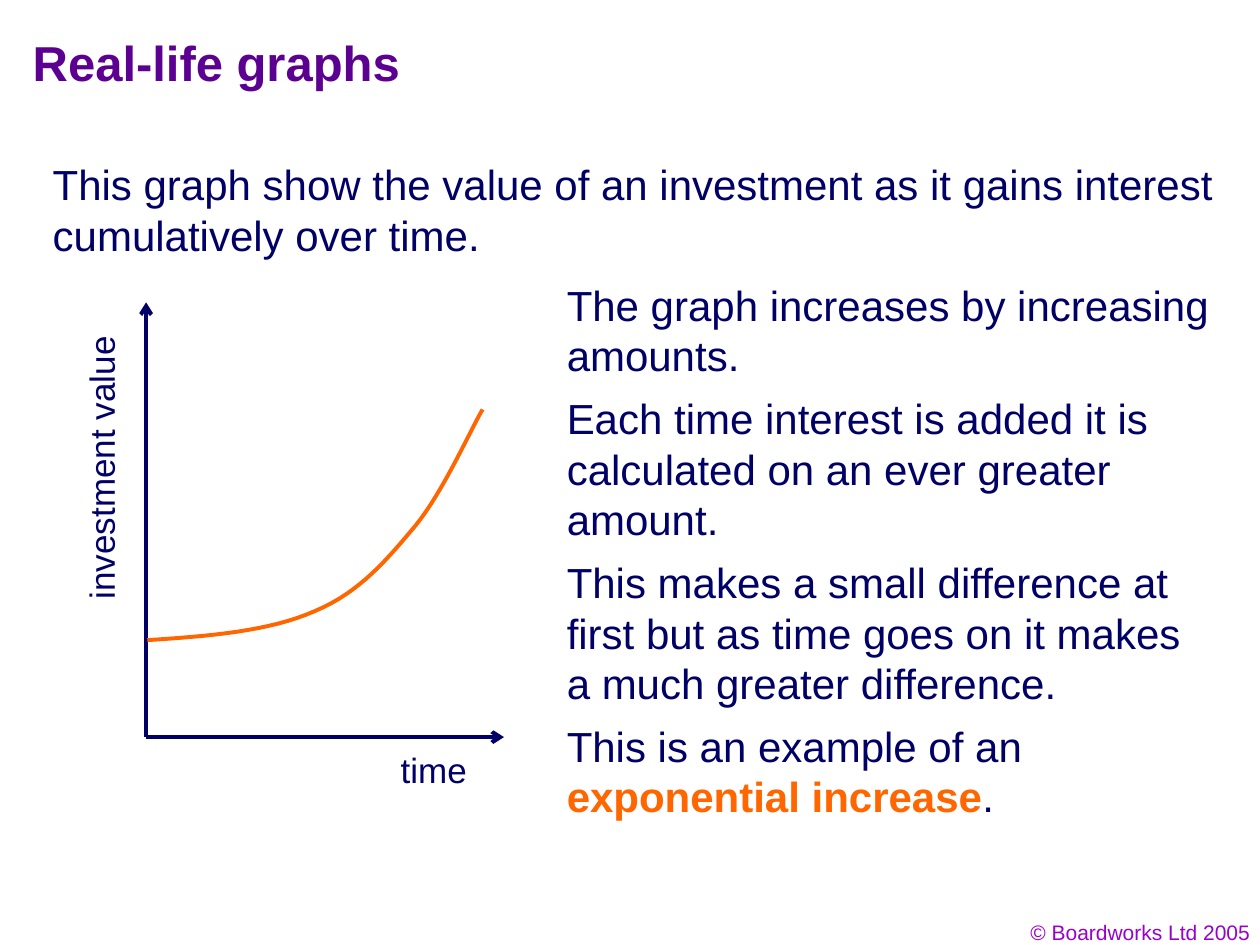
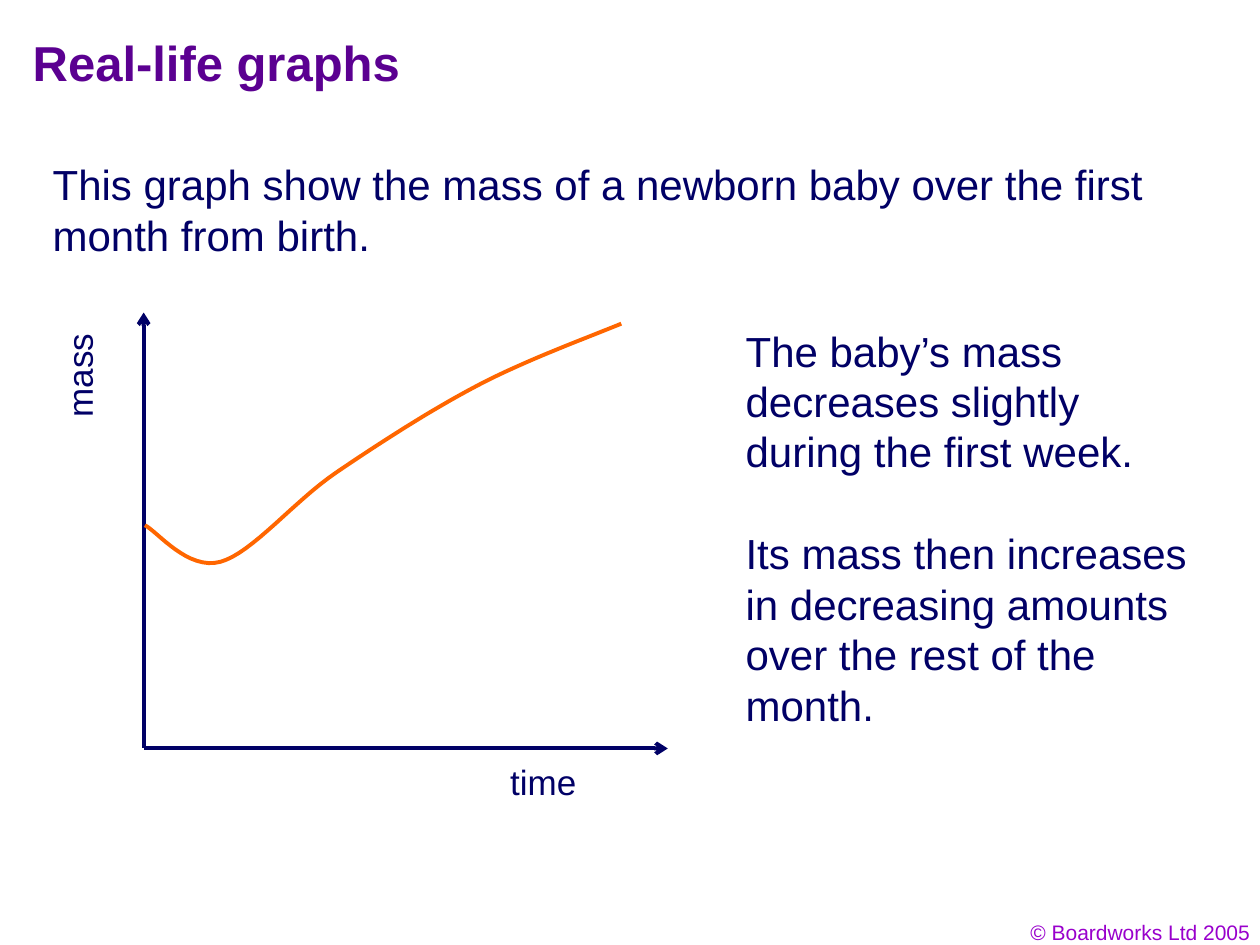
from pptx import Presentation
from pptx.dml.color import RGBColor
from pptx.enum import shapes, text
from pptx.oxml import parse_xml
from pptx.oxml.ns import nsdecls
from pptx.util import Pt

TITLE = "Real-life graphs"
COPYRIGHT = "© Boardworks Ltd 2005"

# Lengths in points. A note is (lines it fills, width, runs); a run is (text, style).
# A curve is a start point followed by cubic Bézier segments.
SLIDES = [
    dict(
        intro="This graph show the value of an investment as it gains interest "
              "cumulatively over time.",
        notes_at=(316.8, 156.2), note_gap=0,
        notes=[
            (2, 391, [("The graph increases by increasing amounts.", "body")]),
            (3, 379.4, [("Each time interest is added it is calculated on an ever "
                         "greater amount.", "body")]),
            (3, 379.4, [("This makes a small difference at first but as time goes on "
                         "it makes a much greater difference.", "body")]),
            (2, 379.4, [("This is an example of an ", "body"),
                        ("exponential increase", "key"), (".", "body")]),
        ],
        origin=(83.5, 421.2), axis_right=288, axis_top=172.8,
        time_left=221.8,
        y_label="investment value", y_label_box=(-24.5, 251.3, 164.9),
        curve_start=(84.2, 365.8),
        curve=[
            ((119.5, 363.6), (154.1, 360.7), (180, 349.2)),
            ((205.9, 338.4), (221.8, 319), (237.6, 300.2)),
            ((253.4, 280.8), (269.3, 244.8), (275.8, 234)),
        ],
    ),
    dict(
        intro="This graph show the mass of a newborn baby over the first month "
              "from birth.",
        notes_at=(419, 182.2), note_gap=22.3,
        notes=[
            (3, 277.2, [("The baby’s mass decreases slightly during the first week.",
                         "body")]),
            (4, 271.4, [("Its mass then increases in decreasing amounts over the rest "
                         "of the month.", "body")]),
        ],
        origin=(82.1, 427.7), axis_right=381.6, axis_top=178.6,
        time_left=284.4,
        y_label="mass", y_label_box=(14.4, 198.7, 61.9),
        curve_start=(82.8, 300.2),
        curve=[
            ((90, 303.8), (107.3, 326.2), (126, 321.1)),
            ((144, 316.1), (167.8, 286.6), (192.2, 270)),
            ((216.7, 253.4), (245.5, 234.7), (272.9, 220.3)),
            ((300.2, 205.9), (337.7, 192.2), (355, 185)),
        ],
    ),
]

THEME = dict(
    font="Arial",
    line=2.25,
    axis="000066",
    curve="FF6600",
    styles=dict(  # size, colour, bold
        title=(28, "5B0091", True),
        body=(24, "010066", False),
        key=(24, "FF6600", True),
        label=(20, "010066", False),
        footer=(12, "9900CC", False),
    ),
)

TITLE_BOX = (11.5, 11.5, 612, 48.2)
INTRO_BOX = (23, 87.1, 685.4, 64.8)
FOOTER_BOX = (553.7, 522, 167.8, 21.6)
LABEL_HEIGHT, TIME_WIDTH, TIME_GAP = 31.7, 51.8, 3.2
LINE_HEIGHT, INSET_HEIGHT = 28.8, 7.2
CURVE_STEPS = 16


def points(values):
    return [Pt(v) for v in values]


def write(shape, runs, align=text.PP_ALIGN.LEFT, wrap=True):
    tf = shape.text_frame
    tf.word_wrap = wrap
    tf.auto_size = text.MSO_AUTO_SIZE.NONE
    p = tf.paragraphs[0]
    p.alignment = align
    for words, style in runs:
        r = p.add_run()
        r.text = words
        size, colour, bold = THEME["styles"][style]
        formats = dict(name=THEME["font"], size=Pt(size), bold=bold)
        for name, value in formats.items():
            setattr(r.font, name, value)
        r.font.color.rgb = RGBColor.from_string(colour)


def add_text(s, box, runs, **options):
    shape = s.shapes.add_textbox(*points(box))
    write(shape, runs, **options)
    return shape


def set_line(shape, colour):
    shape.line.color.rgb = RGBColor.from_string(colour)
    shape.line.width = Pt(THEME["line"])


def add_axis(s, tip, origin):
    axis = s.shapes.add_connector(shapes.MSO_CONNECTOR.STRAIGHT,
                                  *points(tip), *points(origin))
    set_line(axis, THEME["axis"])
    axis.line._get_or_add_ln().append(
        parse_xml(f'<a:headEnd {nsdecls("a")} type="arrow"/>'))
    axis._element.spPr.append(parse_xml(f'<a:effectLst {nsdecls("a")}/>'))


def bezier(start, segments):
    """Return points along the joined cubic segments, after the start."""
    trail = []
    for a, b, end in segments:
        for step in range(1, CURVE_STEPS + 1):
            t = step / CURVE_STEPS
            u = 1 - t
            weights = (u ** 3, 3 * u * u * t, 3 * u * t * t, t ** 3)
            trail.append(tuple(sum(w * c for w, c in zip(weights, axis))
                               for axis in zip(start, a, b, end)))
        start = end
    return trail


def add_curve(s, start, segments):
    builder = s.shapes.build_freeform(*points(start))
    builder.add_line_segments([points(xy) for xy in bezier(start, segments)],
                              close=False)
    curve = builder.convert_to_shape()
    curve.shadow.inherit = False
    curve.fill.background()
    set_line(curve, THEME["curve"])


def add_graph(s, graph):
    x, y = graph["origin"]
    add_axis(s, (x, graph["axis_top"]), (x, y))
    add_axis(s, (graph["axis_right"], y), (x, y))
    add_text(s, (graph["time_left"], y + TIME_GAP, TIME_WIDTH, LABEL_HEIGHT),
             [("time", "label")], wrap=False)
    y_label = add_text(s, (*graph["y_label_box"], LABEL_HEIGHT),
                       [(graph["y_label"], "label")], wrap=False)
    y_label.rotation = 270
    add_curve(s, graph["curve_start"], graph["curve"])


def add_notes(s, left, top, notes, gap):
    """Stack the notes, each as tall as the lines it fills."""
    for lines, width, runs in notes:
        height = lines * LINE_HEIGHT + INSET_HEIGHT
        add_text(s, (left, top, width, height), runs)
        top += height + gap


def add_frame(s):
    """Add the title and footer that every slide has."""
    title = s.shapes.title
    for name, value in zip(("left", "top", "width", "height"), points(TITLE_BOX)):
        setattr(title, name, value)
    title.text_frame.vertical_anchor = text.MSO_ANCHOR.MIDDLE
    write(title, [(TITLE, "title")])
    add_text(s, FOOTER_BOX, [(COPYRIGHT, "footer")], align=text.PP_ALIGN.RIGHT)


def main():
    prs = Presentation()
    prs.slide_width, prs.slide_height = Pt(720), Pt(540)
    title_only = prs.slide_layouts.get_by_name("Title Only")
    for content in SLIDES:
        s = prs.slides.add_slide(title_only)
        add_frame(s)
        add_text(s, INTRO_BOX, [(content["intro"], "body")])
        add_graph(s, content)
        add_notes(s, *content["notes_at"], content["notes"], content["note_gap"])
    prs.save("out.pptx")


if __name__ == "__main__":
    main()
